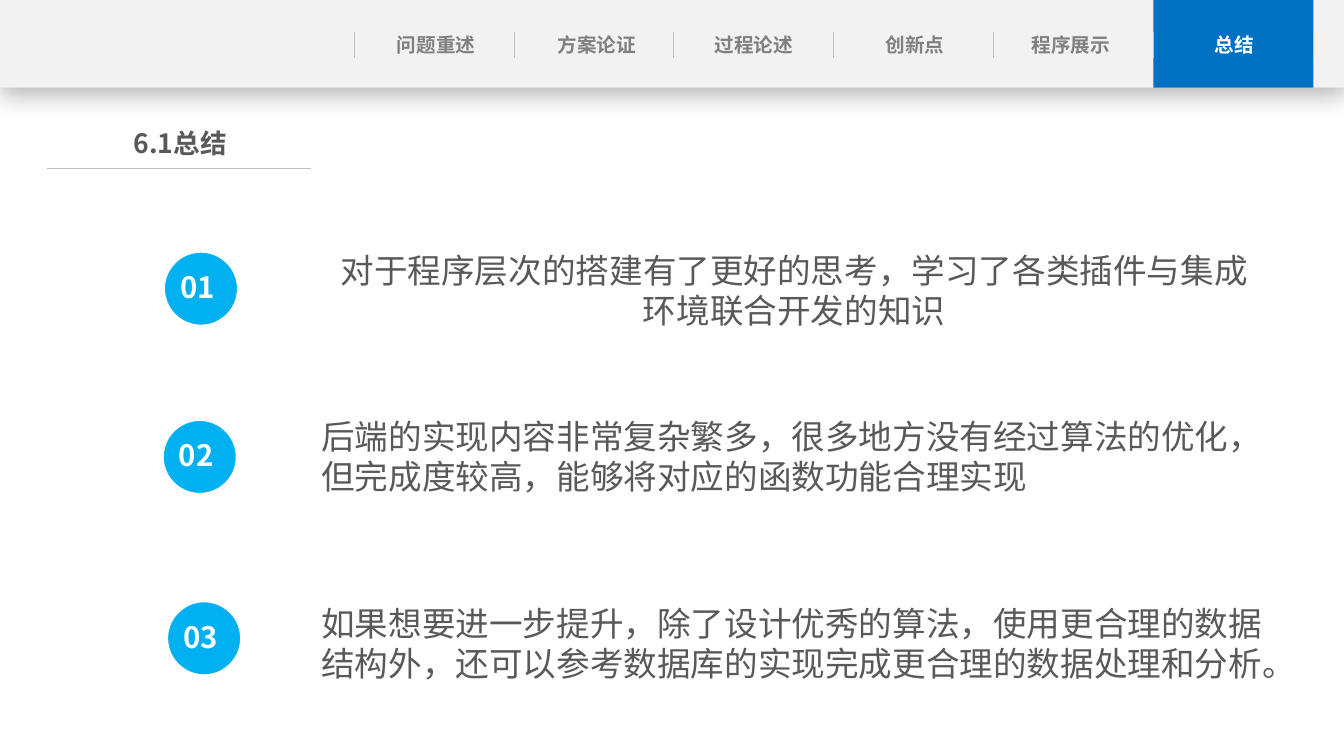
from lxml import etree
from pptx import Presentation
from pptx.dml.color import RGBColor
from pptx.enum.shapes import MSO_CONNECTOR, MSO_SHAPE
from pptx.enum.text import MSO_ANCHOR, PP_ALIGN
from pptx.oxml import parse_xml
from pptx.oxml.ns import qn
from pptx.util import Cm, Pt

RECT, OVAL = MSO_SHAPE.RECTANGLE, MSO_SHAPE.OVAL
LINE = MSO_CONNECTOR.STRAIGHT
LEFT, MID, TOP = PP_ALIGN.LEFT, PP_ALIGN.CENTER, MSO_ANCHOR.TOP
FONT = "Noto Sans CJK SC"
WHITE = RGBColor(0xFF, 0xFF, 0xFF)
PALE = RGBColor(0xF2, 0xF2, 0xF2)
RULE = RGBColor(0xBF, 0xBF, 0xBF)
GRAY = RGBColor(0x80, 0x80, 0x80)
DARK = RGBColor(0x59, 0x59, 0x59)
BLUE = RGBColor(0x00, 0x70, 0xC0)
SKY = RGBColor(0x00, 0xB0, 0xF0)
SHADE = """<a:effectLst xmlns:a="http://schemas.openxmlformats.org/drawingml/2006/main">
<a:outerShdw blurRad="228600" dist="50800" dir="5400000" algn="t" rotWithShape="0">
<a:srgbClr val="000000"><a:alpha val="29000"/></a:srgbClr></a:outerShdw></a:effectLst>"""

deck = Presentation()
deck.slide_width, deck.slide_height = Cm(33.87), Cm(19.05)
slide = deck.slides.add_slide(deck.slide_layouts[6])
shapes = slide.shapes


def add_text(text, x, y, w, h, size=24, color=DARK, bold=False,
             align=LEFT, side=0.25, edge=0.13, wrap=True):
    frame = shapes.add_textbox(Cm(x), Cm(y), Cm(w), Cm(h)).text_frame
    frame.word_wrap, frame.vertical_anchor = wrap, TOP
    frame.margin_left = frame.margin_right = Cm(side)
    frame.margin_top = frame.margin_bottom = Cm(edge)
    para = frame.paragraphs[0]
    para.alignment = align
    run = para.add_run()
    run.text = text
    font = run.font
    font.size, font.bold, font.name = Pt(size), bold, FONT
    font.color.rgb = color
    etree.SubElement(run._r.get_or_add_rPr(), qn("a:ea"), typeface=FONT)


def add_rule(x1, y1, x2, y2):
    rule = shapes.add_connector(LINE, Cm(x1), Cm(y1), Cm(x2), Cm(y2))
    rule.line.color.rgb, rule.line.width = RULE, Pt(0.5)
    etree.SubElement(rule._element.spPr, qn("a:effectLst"))


# Top bar and active tab
START, STEP, HIGH = 8.92, 4.03, 2.21
bar = shapes.add_shape(RECT, 0, 0, deck.slide_width, Cm(HIGH))
tab = shapes.add_shape(RECT, Cm(START + 5 * STEP), 0, Cm(STEP), Cm(HIGH))
for shape, color in ((bar, PALE), (tab, BLUE)):
    shape.fill.solid()
    shape.fill.fore_color.rgb = color
    shape.line.fill.background()
tab.shadow.inherit = False
bar._element.spPr.append(parse_xml(SHADE))

# Tab labels, each with its centre
tabs = [("问题重述", 10.99), ("方案论证", 15.04), ("过程论述", 19),
        ("创新点", 23.06), ("程序展示", 26.99), ("总结", 31.1)]
for name, centre in tabs:
    color = WHITE if name == "总结" else GRAY
    add_text(name, centre - 1.85, 0.69, 3.7, 0.86, size=14, color=color,
             bold=True, align=MID, side=0)
for i in range(len(tabs) + 1):
    x = START + i * STEP
    add_rule(x, 0.81, x, 1.47)

# Section title
add_rule(1.19, 4.24, 7.85, 4.24)
add_text("6.1总结", 1.91, 3.07, 5.26, 1.07, size=19, bold=True,
         align=MID, side=0)

# Numbered badges
for num, x, y in (("01", 4.14, 6.35), ("02", 4.11, 10.59), ("03", 4.22, 15.16)):
    disc = shapes.add_shape(OVAL, Cm(x), Cm(y), Cm(1.85), Cm(1.85))
    disc.shadow.inherit = False
    disc.fill.solid()
    disc.fill.fore_color.rgb = SKY
    disc.line.color.rgb, disc.line.width = WHITE, Pt(1)
    add_text(num, x + 0.15, y + 0.3, 1.45, 1.14, size=21, color=WHITE,
             bold=True, wrap=False)

# Summary points
add_text("对于程序层次的搭建有了更好的思考，学习了各类插件与集成环境联合开发的知识",
         8.28, 6.3, 23.47, 2.06, align=MID, side=0, edge=0)
add_text("后端的实现内容非常复杂繁多，很多地方没有经过算法的优化，"
         "但完成度较高，能够将对应的函数功能合理实现",
         7.85, 10.34, 23.9, 2.31)
add_text("如果想要进一步提升，除了设计优秀的算法，使用更合理的数据"
         "结构外，还可以参考数据库的实现完成更合理的数据处理和分析。",
         7.85, 15.06, 24.79, 3.12)

deck.save("out.pptx")
